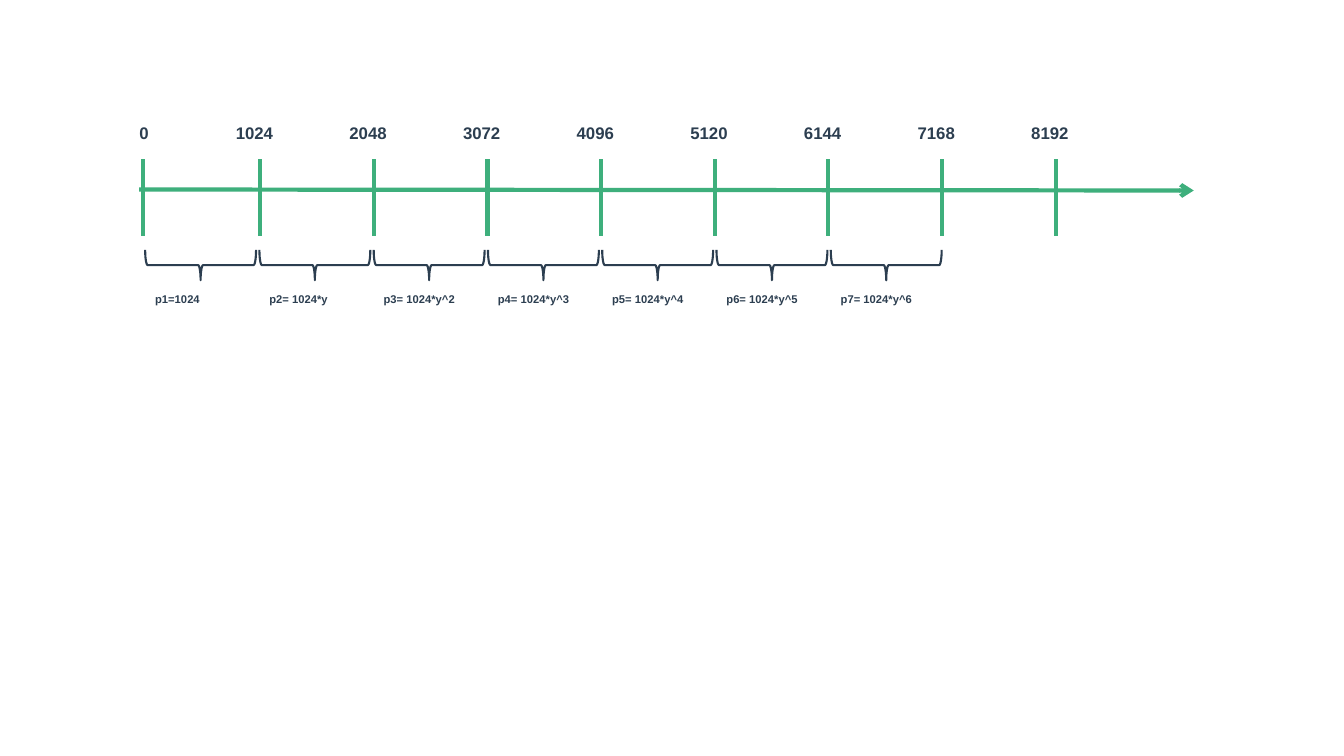
import lxml.etree
import pptx
import pptx.dml.color
import pptx.enum.shapes
import pptx.enum.text
import pptx.oxml.ns
import pptx.util

GREEN = "3EAF7C"
NAVY = "2C3E50"
INTERVAL = 1024
TICK_COUNT = 9
BRACE_COUNT = 7
FIRST_TICK = 1.42
SECOND_TICK = 2.58
LAST_TICK = 10.47
TICK_STEP = (LAST_TICK - SECOND_TICK) / (TICK_COUNT - 2)
BRACE_LEFT = 1.44
BRACE_STEP = 6.8 / (BRACE_COUNT - 1)
BRACE_SPAN = 1.1
BRACE_DEPTH = 0.3


def inches(*lengths):
    return [pptx.util.Inches(length) for length in lengths]


def color(hex_string):
    return pptx.dml.color.RGBColor.from_string(hex_string)


def format_line(line, hex_string, width):
    line.color.rgb = color(hex_string)
    line.width = pptx.util.Pt(width)


def add_line(slide, start, end, arrow=False):
    connector = slide.shapes.add_connector(
        pptx.enum.shapes.MSO_CONNECTOR.STRAIGHT, *inches(*start, *end)
    )
    format_line(connector.line, GREEN, 3)
    if arrow:
        line_xml = connector.line._get_or_add_ln()
        lxml.etree.SubElement(line_xml, pptx.oxml.ns.qn("a:tailEnd"), type="arrow")
    properties = connector._element.spPr
    lxml.etree.SubElement(properties, pptx.oxml.ns.qn("a:effectLst"))


def add_label(slide, text, left, top, width, height, size, wrap):
    shape = slide.shapes.add_textbox(*inches(left, top, width, height))
    frame = shape.text_frame
    frame.text = text
    frame.word_wrap = wrap
    frame.auto_size = pptx.enum.text.MSO_AUTO_SIZE.SHAPE_TO_FIT_TEXT
    font = frame.paragraphs[0].runs[0].font
    font.name = "Arial"
    font.size = pptx.util.Pt(size)
    font.bold = True
    font.color.rgb = color(NAVY)


def add_tick(slide, index):
    grid_position = SECOND_TICK + (index - 1) * TICK_STEP
    position = grid_position if index else FIRST_TICK
    add_line(slide, (position, 1.58), (position, 2.34))
    width = 0.66 if index else 0.32
    left = grid_position - 0.01 - width / 2
    add_label(slide, str(index * INTERVAL), left, 1.17, width, 0.3, 12, False)


def add_period(slide, index, text):
    left = BRACE_LEFT + index * BRACE_STEP
    brace = slide.shapes.add_shape(
        pptx.enum.shapes.MSO_SHAPE.LEFT_BRACE,
        *inches(left + (BRACE_SPAN - BRACE_DEPTH) / 2, 2.08, BRACE_DEPTH, BRACE_SPAN),
    )
    brace.rotation = 270
    brace.shadow.inherit = False
    brace.fill.background()
    format_line(brace.line, NAVY, 1.5)
    add_label(slide, text, left, 2.85, BRACE_SPAN, 0.23, 8, True)


def main():
    presentation = pptx.Presentation()
    presentation.slide_width, presentation.slide_height = inches(13.33, 7.5)
    slide = presentation.slides.add_slide(presentation.slide_layouts[6])
    add_line(slide, (1.38, 1.88), (11.84, 1.89), arrow=True)
    for index in range(TICK_COUNT):
        add_tick(slide, index)
    formulas = ["p1=1024", "p2= 1024*y"]
    formulas += [f"p{power + 1}= 1024*y^{power}" for power in range(2, BRACE_COUNT)]
    for index, formula in enumerate(formulas):
        add_period(slide, index, formula)
    presentation.save("out.pptx")


if __name__ == "__main__":
    main()
